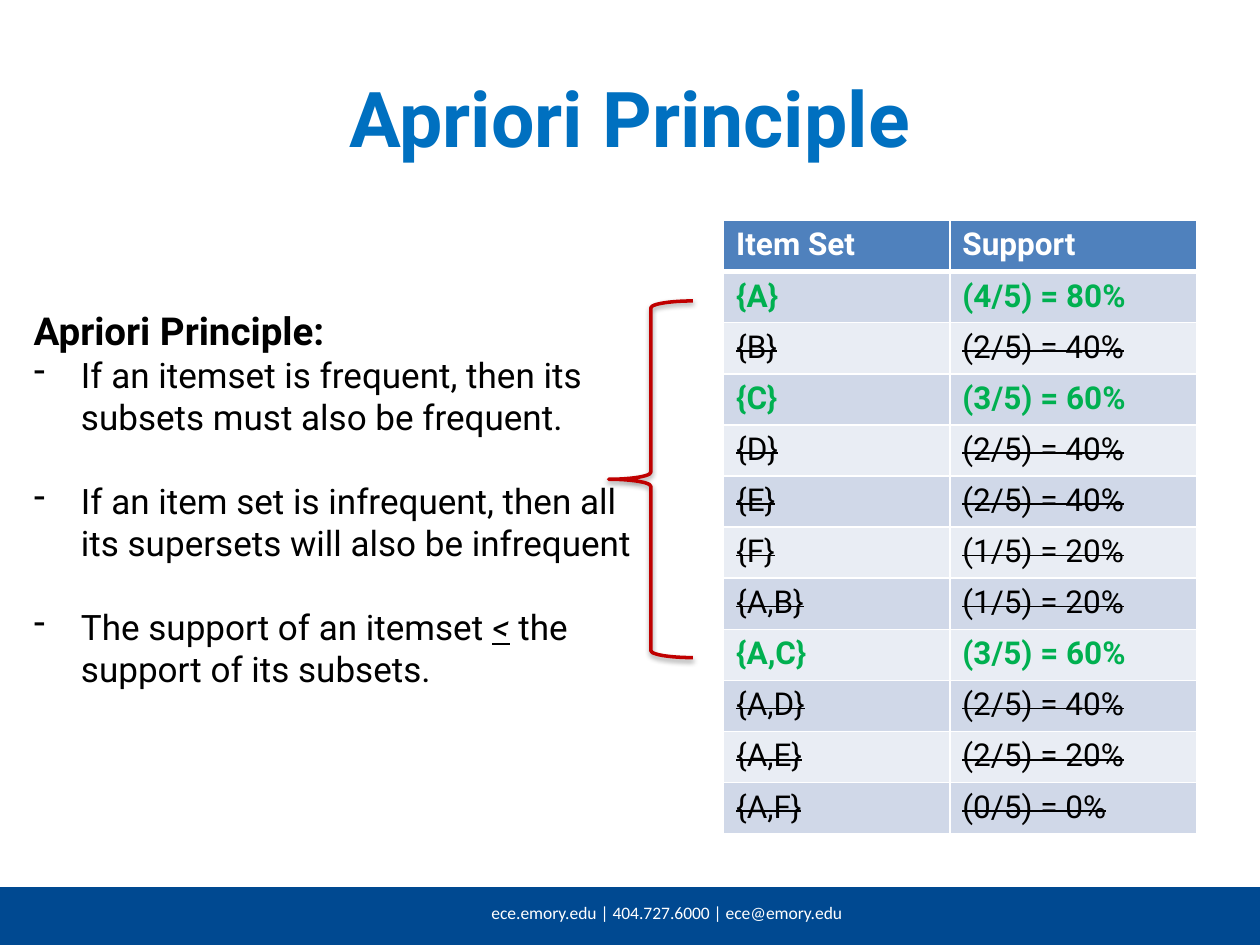
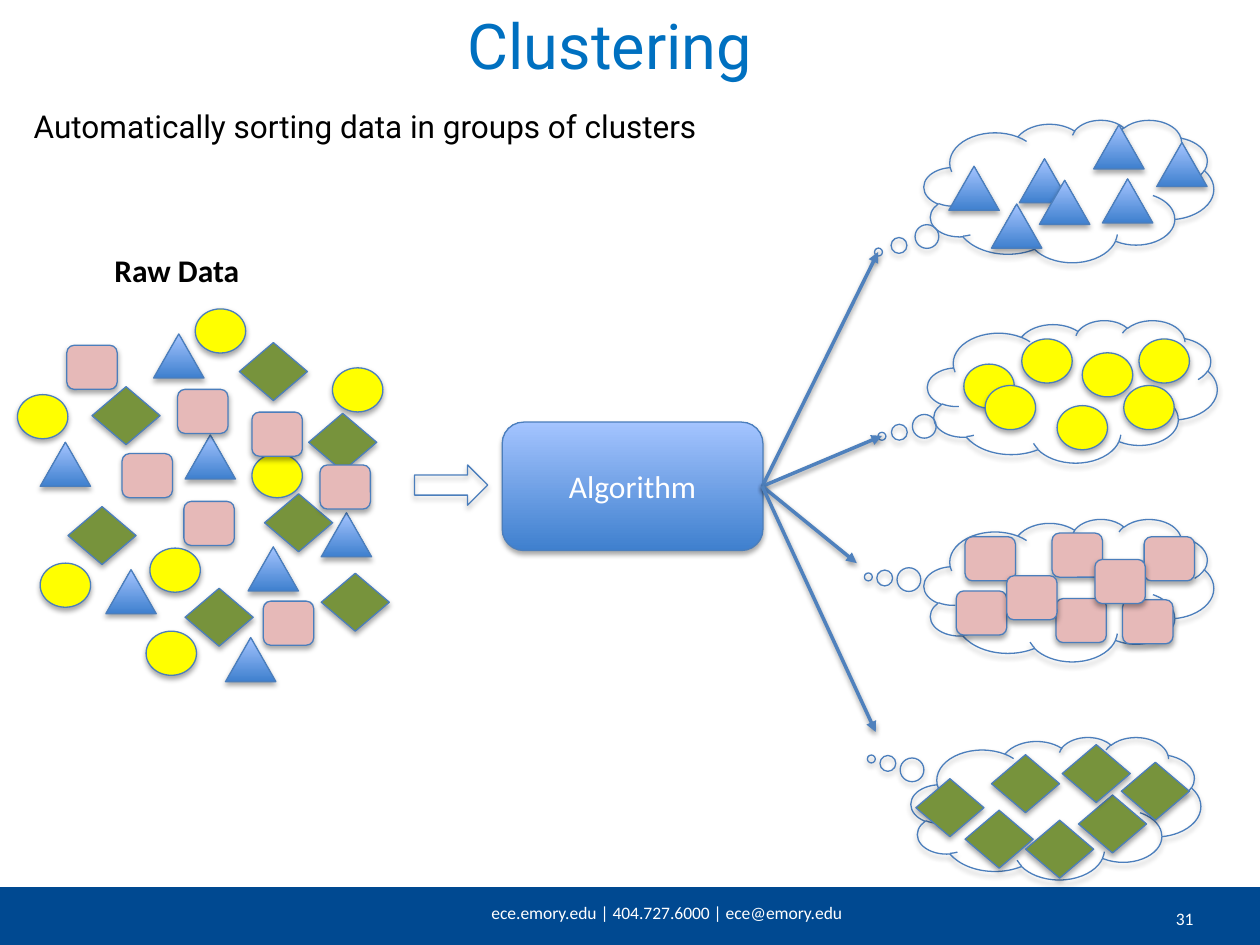
from lxml.etree import SubElement
from pptx import Presentation
from pptx.dml.color import RGBColor
from pptx.enum.shapes import MSO_CONNECTOR, MSO_SHAPE
from pptx.enum.text import MSO_ANCHOR, PP_ALIGN
from pptx.oxml.ns import qn
from pptx.util import Pt

BAND = RGBColor(0x00, 0x49, 0x91)
BLUE = RGBColor(0x00, 0x70, 0xC0)
WHITE = RGBColor(0xFF, 0xFF, 0xFF)
BLACK = RGBColor(0x00, 0x00, 0x00)
GREEN = RGBColor(0x00, 0xB0, 0x50)
RED = RGBColor(0xC0, 0x00, 0x00)
HEAD = RGBColor(0x4F, 0x81, 0xBD)
ODD = RGBColor(0xD0, 0xD8, 0xE8)
EVEN = RGBColor(0xE9, 0xED, 0xF4)
EDGE = RGBColor(0x4B, 0x7E, 0xBC)
DARK = RGBColor(0x3F, 0x80, 0xCE)
LIGHT = RGBColor(0xA4, 0xC4, 0xFF)
YELLOW = RGBColor(0xFF, 0xFF, 0x00)
PINK = RGBColor(0xE6, 0xB9, 0xB8)
OLIVE = RGBColor(0x77, 0x93, 0x3C)

RECT = MSO_SHAPE.RECTANGLE
BRACE = MSO_SHAPE.LEFT_BRACE
CLOUD = MSO_SHAPE.CLOUD_CALLOUT
ARROW = MSO_SHAPE.RIGHT_ARROW
PROCESS = MSO_SHAPE.FLOWCHART_ALTERNATE_PROCESS
STRAIGHT = MSO_CONNECTOR.STRAIGHT
LEFT, CENTER = PP_ALIGN.LEFT, PP_ALIGN.CENTER
TOP, MIDDLE = MSO_ANCHOR.TOP, MSO_ANCHOR.MIDDLE

SANS, PLAIN = "Roboto", "Calibri"
GRAD = (DARK, LIGHT)
SOFT, HARD = (35, 1.8), (38, 1.6)

KINDS = {
    "circle": (MSO_SHAPE.OVAL, 28.8, 25.2, YELLOW),
    "triangle": (MSO_SHAPE.ISOSCELES_TRIANGLE, 28.8, 25.2, GRAD),
    "diamond": (MSO_SHAPE.DIAMOND, 38.9, 33.1, OLIVE),
    "square": (MSO_SHAPE.ROUNDED_RECTANGLE, 28.8, 25.2, PINK),
}
RAW = {
    "circle": [(134, 82.7), (180, 33.7), (101.6, 0), (0, 49), (13, 145.3),
               (75.7, 136.7), (73.5, 184.2)],
    "triangle": [(50.5, 149), (77.8, 14.3), (95.8, 72), (131.8, 136),
                 (118.9, 187.8), (173.6, 116.5), (13, 76.2)],
    "diamond": [(166.4, 59.7), (126.8, 19.3), (42.6, 44.5), (28.9, 113),
                (173.6, 151.1), (95.8, 159.7), (141.2, 105.7)],
    "square": [(59.8, 82.7), (172.9, 89.2), (91.5, 46), (28.2, 20.8),
               (95.1, 110), (134, 59), (140.5, 167)],
}
GROUPS = [
    ("triangle", (528, 68.5), (-0.657, 0.428), (501.8, 144),
     [(54.5, 22.2), (66, 34.5), (14.2, 26.5), (97, 2.8), (102, 33.7),
      (38.6, 48.1), (133, 12.9)]),
    ("circle", (530, 183), (-0.657, 0.315), (504, 249.1),
     [(20.8, 25.1), (33, 37.3), (74.1, 48.8), (88.5, 18.6), (53.9, 10.7),
      (120.9, 10.7), (112.2, 37.3)]),
    ("square", (528, 296.6), (-0.692, -0.093), (489.6, 321.8),
     [(23.5, 10.1), (73.2, 8), (75.4, 45.4), (18.5, 41.1), (125.8, 10.1),
      (113.5, 46.1), (97.7, 23.1), (47.3, 32.4)]),
    ("diamond", (520.6, 421.2), (-0.637, -0.346), (500.4, 418.3),
     [(2.8, 23.8), (46, 10.1), (30.9, 41.8), (95.7, 33.1), (120.2, 14.4),
      (65.5, 47.5), (86.4, 4.3)]),
]
ROWS = [
    ("Item Set", "Support"),
    ("{A}", "(4/5) = 80%"),
    ("{B}", "(2/5) = 40%"),
    ("{C}", "(3/5) = 60%"),
    ("{D}", "(2/5) = 40%"),
    ("{E}", "(2/5) = 40%"),
    ("{F}", "(1/5) = 20%"),
    ("{A,B}", "(1/5) = 20%"),
    ("{A,C}", "(3/5) = 60%"),
    ("{A,D}", "(2/5) = 40%"),
    ("{A,E}", "(2/5) = 20%"),
    ("{A,F}", "(0/5) = 0%"),
]
KEPT = {"{A}", "{C}", "{A,C}"}
RULES = [
    [("If an itemset is frequent, then its subsets must also be frequent.", "")],
    [("If an item set is infrequent, then all its supersets will also be "
      "infrequent", "")],
    [("The support of an itemset ", ""), ("<", "iu"), (" ", "i"),
     ("the support of its subsets.", "")],
]


def points(box):
    """Turn plain numbers into point lengths."""
    return [Pt(n) for n in box]


def write(para, text, size, color=BLACK, face=SANS, bold=False):
    """Add one styled run to a paragraph."""
    run = para.add_run()
    run.text = text
    font = run.font
    font.size, font.name, font.bold = Pt(size), face, bold
    font.color.rgb = color
    return run


def label(slide, box, text, size, color=BLACK, face=SANS, bold=False,
          align=LEFT, anchor=TOP, wrap=True):
    """Place a one-line text box."""
    frame = slide.shapes.add_textbox(*points(box)).text_frame
    frame.word_wrap, frame.vertical_anchor = wrap, anchor
    para = frame.paragraphs[0]
    para.alignment = align
    write(para, text, size, color, face, bold)


def shade(item, alpha, dist):
    """Give a shape or connector a soft shadow below it."""
    props = item._element.spPr
    for old in props.findall(qn("a:effectLst")):
        props.remove(old)
    glow = SubElement(SubElement(props, qn("a:effectLst")), qn("a:outerShdw"),
                      blurRad=str(Pt(3.1)), dist=str(Pt(dist)), dir="5400000",
                      rotWithShape="0")
    black = SubElement(glow, qn("a:srgbClr"), val="000000")
    SubElement(black, qn("a:alpha"), val=str(alpha * 1000))


def draw(slide, kind, box, fill=None, line=EDGE, width=0.75, shadow=SOFT):
    """Add a preset shape with its fill, line and shadow."""
    item = slide.shapes.add_shape(kind, *points(box))
    item.shadow.inherit = False
    if fill is None:
        item.fill.background()
    elif fill is GRAD:
        item.fill.gradient()
        item.fill.gradient_angle = 90
        for stop, color, place in zip(item.fill.gradient_stops, GRAD, (0, 1)):
            stop.color.rgb, stop.position = color, place
    else:
        item.fill.solid()
        item.fill.fore_color.rgb = fill
    if line is None:
        item.line.fill.background()
    else:
        item.line.color.rgb, item.line.width = line, Pt(width)
    if shadow:
        shade(item, *shadow)
    return item


def frame(deck, title, box, size, bold=False, page=None):
    """Start a slide with its title, band and footer."""
    slide = deck.slides.add_slide(deck.slide_layouts[6])
    draw(slide, RECT, (0, 507, 720, 33), BAND, None, shadow=None)
    label(slide, (240, 512, 282, 20),
          "ece.emory.edu | 404.727.6000 | ece@emory.edu", 10, WHITE, PLAIN,
          align=CENTER)
    label(slide, box, title, size, BLUE, bold=bold, align=CENTER,
          anchor=MIDDLE)
    if page:
        label(slide, (641, 515.5, 72, 25), page, 10, WHITE, PLAIN,
              align=CENTER)
    return slide


def edge(cell, side, width):
    """Draw one white cell border."""
    line = SubElement(cell._tc.get_or_add_tcPr(), qn("a:" + side),
                      w=str(Pt(width)))
    fill = SubElement(line, qn("a:solidFill"))
    SubElement(fill, qn("a:srgbClr"), val=str(WHITE))


def grid(slide, box):
    """Build the table of item sets and their support."""
    table = slide.shapes.add_table(len(ROWS), 2, *points(box)).table
    table.columns[0].width = Pt(129.3)
    table.columns[1].width = Pt(box[2] - 129.3)
    for r, row in enumerate(ROWS):
        table.rows[r].height = Pt(box[3] / len(ROWS))
        kept = row[0] in KEPT
        fill = HEAD if r == 0 else (EVEN, ODD)[r % 2]
        color = WHITE if r == 0 else GREEN if kept else BLACK
        for c, text in enumerate(row):
            cell = table.cell(r, c)
            run = write(cell.text_frame.paragraphs[0], text, 18, color,
                        bold=r == 0 or kept)
            if r and not kept:
                run._r.get_or_add_rPr().set("strike", "sngStrike")
            for side, thick in (("lnL", None), ("lnR", None), ("lnT", 1),
                                ("lnB", 0)):
                edge(cell, side, 3 if r == thick else 1)
            cell.fill.solid()
            cell.fill.fore_color.rgb = fill


def rules(slide, box):
    """Write the heading and the dashed list."""
    body = slide.shapes.add_textbox(*points(box)).text_frame
    body.word_wrap = True
    write(body.paragraphs[0], "Apriori Principle:", 22, bold=True)
    for n, parts in enumerate(RULES):
        para = body.add_paragraph()
        props = para._p.get_or_add_pPr()
        props.set("marL", str(Pt(27)))
        props.set("indent", str(-Pt(27)))
        SubElement(props, qn("a:buChar"), char="-")
        para.space_before = Pt(24 if n else 0)
        for text, style in parts:
            font = write(para, text, 20).font
            font.italic, font.underline = "i" in style, "u" in style


def scatter(slide, kind, spots, left, top):
    """Place pieces of one kind relative to a corner."""
    form, wide, high, fill = KINDS[kind]
    for x, y in spots:
        draw(slide, form, (left + x, top + y, wide, high), fill)


def cloud(slide, kind, corner, tip, spots):
    """Draw a cloud holding one cluster."""
    bubble = draw(slide, CLOUD, (*corner, 165.6, 81.4))
    for n, value in enumerate(tip):
        bubble.adjustments[n] = value
    scatter(slide, kind, spots, *corner)


def link(slide, start, end):
    """Draw an arrow between two points."""
    line = slide.shapes.add_connector(STRAIGHT, *points(start + end))
    line.line.color.rgb, line.line.width = HEAD, Pt(2)
    SubElement(line.line._get_or_add_ln(), qn("a:tailEnd"), type="triangle")
    shade(line, *HARD)


def apriori(deck):
    """Build the principle slide."""
    slide = frame(deck, "Apriori Principle", (36, 21.6, 648, 90), 44, True)
    grid(slide, (413.5, 126, 270.5, 350.4))
    rules(slide, (12.2, 172, 360, 227.5))
    draw(slide, BRACE, (347.8, 172, 48.2, 203.8), None, RED, 2, HARD)


def cluster(deck):
    """Build the clustering slide."""
    slide = frame(deck, "Clustering", (24.5, 4.3, 648, 42.5), 36, page="31")
    label(slide, (12.2, 57.6, 505, 29),
          "Automatically sorting data in groups of clusters", 18)
    label(slide, (58.3, 139.7, 86.4, 29), "Raw Data", 18, face=PLAIN,
          bold=True, wrap=False)
    for kind, spots in RAW.items():
        scatter(slide, kind, spots, 10, 176.5)
    draw(slide, ARROW, (236.9, 265.7, 41.8, 23))
    step = draw(slide, PROCESS, (287, 241.2, 149, 73.4), GRAD)
    step.text_frame.vertical_anchor = MIDDLE
    para = step.text_frame.paragraphs[0]
    para.alignment = CENTER
    write(para, "Algorithm", 18, WHITE, PLAIN)
    for kind, corner, tip, end, spots in GROUPS:
        cloud(slide, kind, corner, tip, spots)
        link(slide, (435.6, 277.9), end)


def main():
    """Make the deck and save it."""
    deck = Presentation()
    deck.slide_width, deck.slide_height = Pt(720), Pt(540)
    apriori(deck)
    cluster(deck)
    deck.save("out.pptx")


if __name__ == "__main__":
    main()
